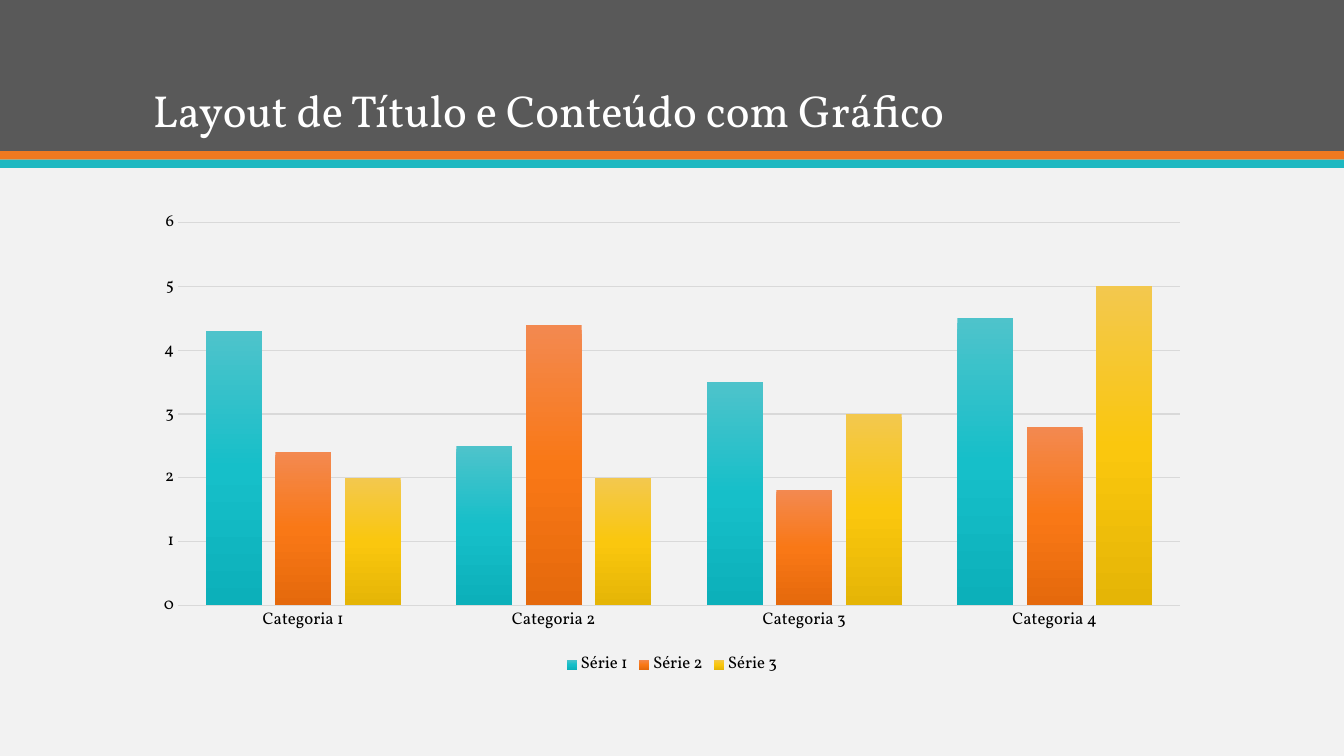
from copy import deepcopy

from lxml import etree
from pptx import Presentation
from pptx.chart import data
from pptx.dml.color import RGBColor
from pptx.enum import chart as ch, shapes, text
from pptx.oxml import ns
from pptx.util import Pt

TITLE = "Layout de Título e Conteúdo com Gráfico"
CATEGORIES = ["Categoria 1", "Categoria 2", "Categoria 3", "Categoria 4"]
SERIES = [
    ("Série 1", (4.3, 2.5, 3.5, 4.5), ("4EC3CB", "16BFC9", "0CB0BA")),
    ("Série 2", (2.4, 4.4, 1.8, 2.8), ("F38950", "F97816", "E5690C")),
    ("Série 3", (2, 2, 3, 5), ("F3C84E", "FAC70E", "E5B506")),
]
FONT = "Vollkorn"
BLACK = RGBColor(0, 0, 0)
WHITE = RGBColor(255, 255, 255)
PAPER = RGBColor(0xF2, 0xF2, 0xF2)
GRID = RGBColor(0xD9, 0xD9, 0xD9)
GRAY = RGBColor(0x59, 0x59, 0x59)
ORANGE = RGBColor(0xEF, 0x79, 0x20)
TEAL = RGBColor(0x1E, 0xB8, 0xC1)
BANDS = [(108, GRAY), (6, ORANGE), (6, TEAL)]
WIDTH, HEIGHT = 960, 540
LEFT, CONTENT_WIDTH = 102, 756


def style_font(font, size, color):
    font.name = FONT
    font.size = Pt(size)
    font.color.rgb = color


def style_line(line):
    line.width = Pt(0.75)
    line.color.rgb = GRID


def add_bands(s):
    top = 0
    for height, color in BANDS:
        sp = s.shapes.add_shape(shapes.MSO_SHAPE.RECTANGLE, 0, Pt(top), Pt(WIDTH), Pt(height))
        sp.shadow.inherit = False
        sp.fill.solid()
        sp.fill.fore_color.rgb = color
        sp.line.fill.background()
        top += height


def set_title(s):
    sp = s.shapes.title
    s.shapes._spTree.append(sp._element)
    sp.left, sp.top, sp.width, sp.height = Pt(LEFT), Pt(20), Pt(CONTENT_WIDTH), Pt(81.5)
    tf = sp.text_frame
    tf.word_wrap = True
    tf.auto_size = text.MSO_AUTO_SIZE.NONE
    tf.vertical_anchor = text.MSO_ANCHOR.BOTTOM
    p = tf.paragraphs[0]
    p.alignment = text.PP_ALIGN.LEFT
    p.line_spacing = 0.9
    r = p.add_run()
    r.text = TITLE
    style_font(r.font, 32, WHITE)


def fill_gradient(series, colors):
    fill = series.format.fill
    fill.gradient()
    fill.gradient_angle = 270
    stops = series._element.find(".//" + ns.qn("a:gsLst"))
    stops.append(deepcopy(stops[-1]))
    for i, (stop, color) in enumerate(zip(fill.gradient_stops, colors)):
        stop.position = i / 2
        stop.color.rgb = RGBColor.from_string(color)


def add_column_chart(s):
    cd = data.CategoryChartData()
    cd.categories = CATEGORIES
    for name, values, _ in SERIES:
        cd.add_series(name, values)
    chart = s.shapes.add_chart(
        ch.XL_CHART_TYPE.COLUMN_CLUSTERED,
        Pt(LEFT), Pt(144), Pt(CONTENT_WIDTH), Pt(342), cd,
    ).chart
    chart.has_title = False
    style_font(chart.font, 10, GRAY)
    chart.has_legend = True
    chart.legend.position = ch.XL_LEGEND_POSITION.BOTTOM
    chart.legend.include_in_layout = False
    style_font(chart.legend.font, 12, BLACK)
    plot = chart.plots[0]
    plot.gap_width, plot.overlap = 100, -24
    plot.vary_by_categories = False
    for series, (_, _, colors) in zip(plot.series, SERIES):
        fill_gradient(series, colors)
    cat, val = chart.category_axis, chart.value_axis
    for axis in (cat, val):
        axis.major_tick_mark = axis.minor_tick_mark = ch.XL_TICK_MARK.NONE
        style_font(axis.tick_labels.font, 12, BLACK)
    style_line(cat.format.line)
    val.format.line.fill.background()
    val.minimum_scale, val.maximum_scale, val.major_unit = 0, 6, 1
    val.has_major_gridlines = True
    style_line(val.major_gridlines.format.line)


def main():
    prs = Presentation()
    prs.slide_width, prs.slide_height = Pt(WIDTH), Pt(HEIGHT)
    s = prs.slides.add_slide(prs.slide_layouts[5])
    s.background.fill.solid()
    s.background.fill.fore_color.rgb = PAPER
    add_bands(s)
    set_title(s)
    add_column_chart(s)
    prs.save("out.pptx")


if __name__ == "__main__":
    main()
